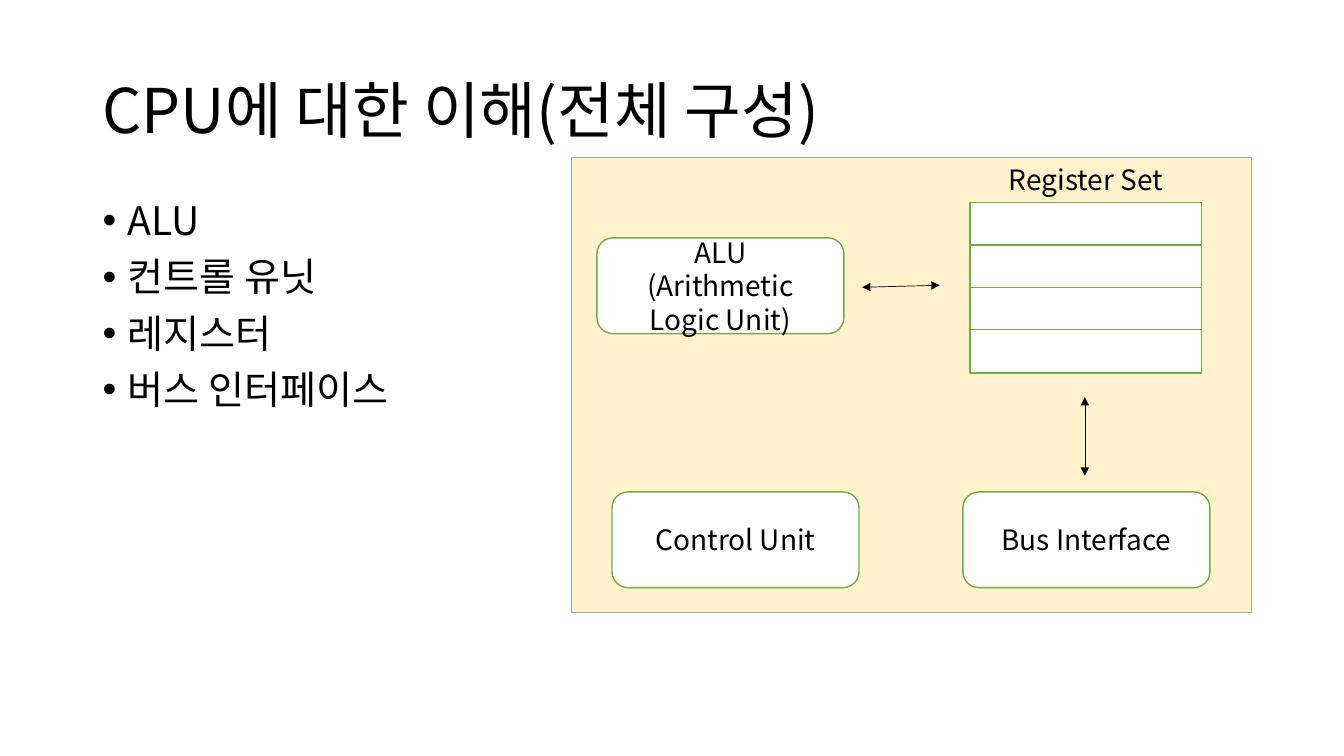
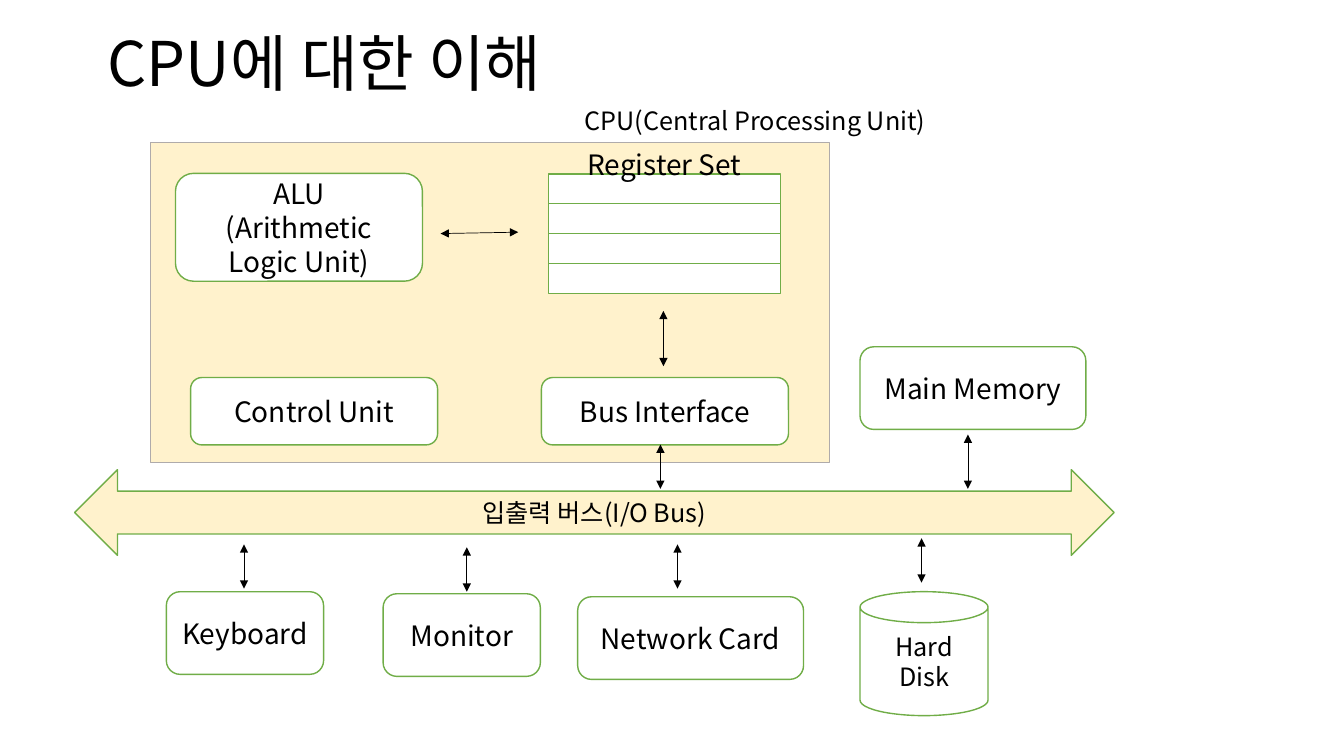
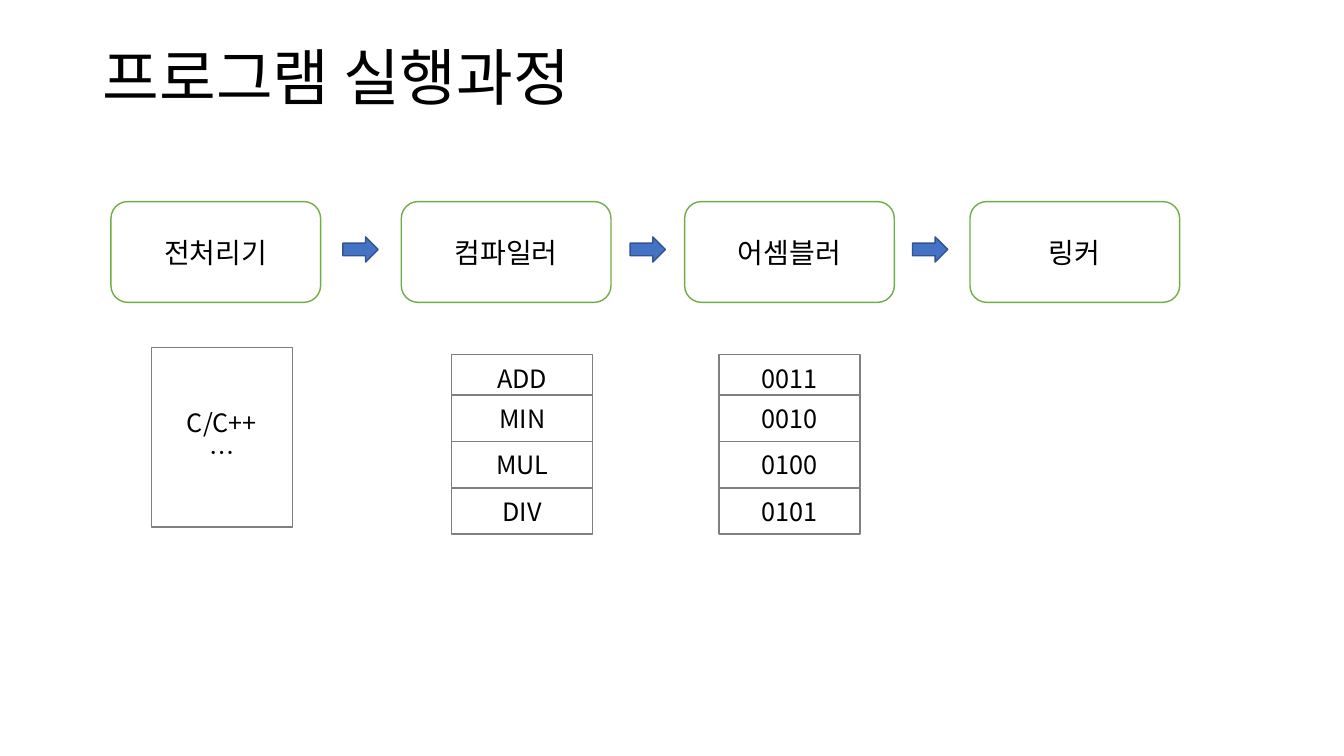
from lxml import etree
from pptx import Presentation
from pptx import util as u
from pptx.dml import color
from pptx.enum import shapes, text
from pptx.oxml import ns

FONT = "Noto Sans CJK KR"
HEX = {
    "ink": "000000",
    "white": "FFFFFF",
    "green": "70AD47",
    "cream": "FFF2CC",
    "frame": "A5A5A5",
    "rim": "AFABAB",
    "gray": "808080",
    "blue": "4472C4",
    "navy": "325491",
}
KIND = shapes.MSO_SHAPE
MID = text.MSO_ANCHOR.MIDDLE
TOP = text.MSO_ANCHOR.TOP
CENTER = text.PP_ALIGN.CENTER
LEFT = text.PP_ALIGN.LEFT


def rgb(name):
    return color.RGBColor.from_string(HEX[name])


def inches(*nums):
    return [u.Inches(num) for num in nums]


def write(shape, words, size, align=CENTER, anchor=MID, lead=None):
    frame = shape.text_frame
    frame.word_wrap = True
    frame.vertical_anchor = anchor
    frame.text = words
    for para in frame.paragraphs:
        para.alignment = align
        para.line_spacing = lead
        for run in para.runs:
            run.font.size = u.Pt(size)
            run.font.color.rgb = rgb("ink")
            run.font.name = FONT
            latin = run.font._element.find(ns.qn("a:latin"))
            east = etree.Element(ns.qn("a:ea"), typeface=FONT)
            latin.addnext(east)


def label(host, at, words, size, **style):
    box = host.add_textbox(*inches(*at))
    write(box, words, size, **style)
    return box


def title(slide, at, words):
    label(slide.shapes, at, words, 44, align=LEFT, lead=0.9)


def bullets(slide, at, items):
    box = label(slide.shapes, at, "\n".join(items), 28,
                align=LEFT, anchor=TOP, lead=0.9)
    for para in box.text_frame.paragraphs:
        para.space_before = u.Pt(10)
        props = para._p.get_or_add_pPr()
        props.set("marL", str(u.Inches(0.25)))
        props.set("indent", str(u.Inches(-0.25)))
        etree.SubElement(props, ns.qn("a:buFont"), typeface="Arial")
        etree.SubElement(props, ns.qn("a:buChar"), char="•")


def block(host, kind, at, words="", size=20, fill="white", line="green", width=1):
    shape = host.add_shape(kind, *inches(*at))
    shape.shadow.inherit = False
    shape.fill.solid()
    shape.fill.fore_color.rgb = rgb(fill)
    shape.line.color.rgb = rgb(line)
    shape.line.width = u.Pt(width)
    if words:
        write(shape, words, size)


def card(host, at, words):
    block(host, KIND.ROUNDED_RECTANGLE, at, words)


def arrow(host, x1, y1, x2, y2):
    link = host.add_connector(shapes.MSO_CONNECTOR.STRAIGHT, *inches(x1, y1, x2, y2))
    link.line.color.rgb = rgb("ink")
    link.line.width = u.Pt(0.5)
    props = link.element.spPr
    line = props.find(ns.qn("a:ln"))
    for end in ("a:headEnd", "a:tailEnd"):
        etree.SubElement(line, ns.qn(end), type="triangle")
    etree.SubElement(props, ns.qn("a:effectLst"))


def cpu(slide, left, top, high, alu, border):
    host = slide.shapes.add_group_shape().shapes
    ratio = high / 4.52

    def down(gap):
        return top + gap * ratio

    block(host, KIND.RECTANGLE, (left, top, 6.74, high),
          fill="cream", line=border, width=0.5)
    card(host, (left + 0.25, alu[0], 2.45, alu[1]), "ALU\n(Arithmetic Logic Unit)")
    for gap, words in ((0.4, "Control Unit"), (3.88, "Bus Interface")):
        card(host, (left + gap, down(3.32), 2.45, 0.95 * ratio), words)
    for row in range(4):
        block(host, KIND.RECTANGLE,
              (left + 3.95, down(0.45 + 0.42 * row), 2.3, 0.43 * ratio))
    label(host, (left + 3.95, top, 2.3, 0.44 * ratio), "Register Set", 20, anchor=TOP)
    arrow(host, left + 2.88, down(1.29), left + 3.65, down(1.27))
    arrow(host, left + 5.09, down(2.38), left + 5.09, down(3.16))


def parts(slide):
    title(slide, (0.92, 0.4, 11.5, 1.45), "CPU에 대한 이해(전체 구성)")
    bullets(slide, (0.92, 1.95, 3.5, 4.76),
            ("ALU", "컨트롤 유닛", "레지스터", "버스 인터페이스"))
    cpu(slide, 5.67, 1.56, 4.52, (2.36, 0.95), "frame")


def system(slide):
    host = slide.shapes
    title(slide, (0.97, 0.16, 11.5, 1.01), "CPU에 대한 이해")
    cpu(slide, 1.49, 1.41, 3.18, (1.72, 1.07), "rim")
    block(host, KIND.LEFT_RIGHT_ARROW, (0.74, 4.66, 10.31, 0.85),
          "입출력 버스(I/O Bus)", 18, "cream")
    for left, top, width, words in (
        (8.53, 3.44, 2.24, "Main Memory"),
        (1.65, 5.87, 1.56, "Keyboard"),
        (3.8, 5.89, 1.56, "Monitor"),
        (5.73, 5.92, 2.24, "Network Card"),
    ):
        card(host, (left, top, width, 0.82), words)
    block(host, KIND.CAN, (8.53, 5.87, 1.27, 1.23), "Hard Disk", 18)
    for x, top, high in (
        (9.6, 4.31, 0.54),
        (6.55, 4.41, 0.44),
        (2.42, 5.4, 0.44),
        (9.14, 5.34, 0.44),
        (4.63, 5.43, 0.44),
        (6.72, 5.4, 0.44),
    ):
        arrow(host, x, top, x, top + high)
    label(host, (5.7, 1, 4.08, 0.4), "CPU(Central Processing Unit)", 18,
          align=LEFT, anchor=TOP)


def stack(slide, left, words):
    host = slide.shapes.add_group_shape().shapes
    for top, word in zip((3.52, 3.92, 4.38, 4.84), words):
        block(host, KIND.RECTANGLE, (left, top, 1.4, 0.46), word, 18, line="gray")


def build(slide):
    title(slide, (0.92, 0.4, 11.5, 0.8), "프로그램 실행과정")
    host = slide.shapes.add_group_shape().shapes
    steps = ("전처리기", "컴파일러", "어셈블러", "링커")
    for left, step in zip((1.1, 3.98, 6.79, 9.62), steps):
        card(host, (left, 2, 2.08, 1), step)
    for left in (3.4, 6.25, 9.05):
        block(host, KIND.RIGHT_ARROW, (left, 2.35, 0.35, 0.25),
              fill="blue", line="navy")
    block(slide.shapes, KIND.RECTANGLE, (1.5, 3.45, 1.4, 1.78),
          "C/C++\n…", 18, line="gray")
    stack(slide, 7.13, ("0011", "0010", "0100", "0101"))
    stack(slide, 4.48, ("ADD", "MIN", "MUL", "DIV"))


def main():
    deck = Presentation()
    deck.slide_width, deck.slide_height = inches(13.33, 7.5)
    for draw in (parts, system, build):
        draw(deck.slides.add_slide(deck.slide_layouts[6]))
    deck.save("out.pptx")


main()
